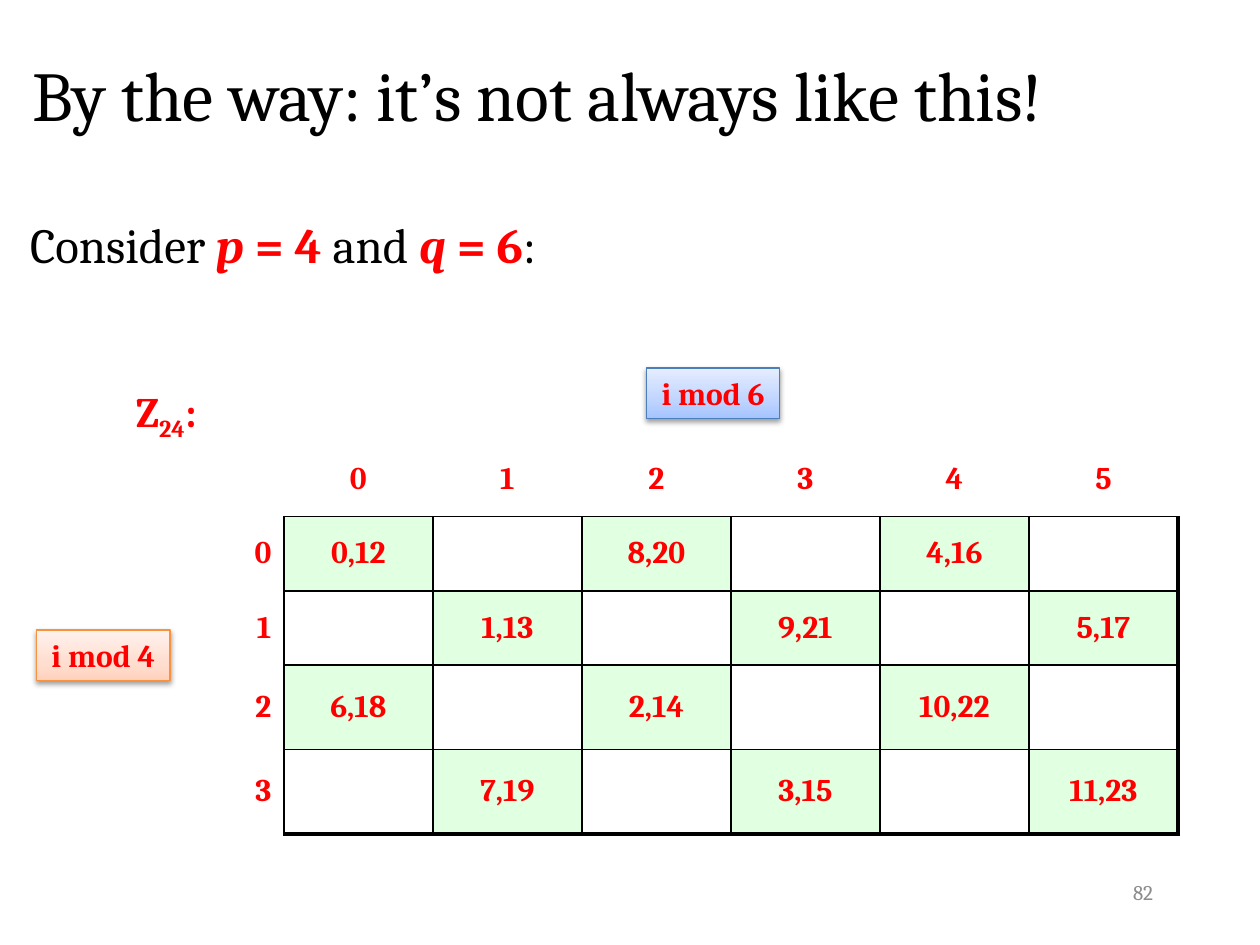
"""Build the slide on the residue table of Z24 for p = 4 and q = 6."""
import copy

import lxml.etree
import pptx
import pptx.dml.color
import pptx.enum.shapes
import pptx.enum.text
import pptx.oxml.ns
import pptx.util

COLORS = {"black": "000000", "red": "FF0000", "gray": "8C8C8C", "green": "E1FFE1"}
ALIGN = pptx.enum.text.PP_ALIGN
ANCHOR = pptx.enum.text.MSO_ANCHOR
qn = pptx.oxml.ns.qn
rgb = pptx.dml.color.RGBColor.from_string

presentation = pptx.Presentation()
presentation.slide_width = pptx.util.Inches(10)
presentation.slide_height = pptx.util.Inches(7.5)
column = presentation.slide_width / 100
row = presentation.slide_height / 75
slide = presentation.slides.add_slide(presentation.slide_layouts[6])


def span(left, top, width, height):
    return [round(n * unit) for n, unit in
            ((left, column), (top, row), (width, column), (height, row))]


def write(frame, runs, size=18, color="red", bold=False, align=ALIGN.LEFT,
          anchor=ANCHOR.TOP, wrap=True, grow=False):
    frame.word_wrap = wrap
    frame.vertical_anchor = anchor
    if grow:
        frame.auto_size = pptx.enum.text.MSO_AUTO_SIZE.SHAPE_TO_FIT_TEXT
    paragraph = frame.paragraphs[0]
    paragraph.alignment = align
    for text, changes in runs:
        run = paragraph.add_run()
        run.text = text
        run.font.name = "Cambria"
        run.font.size = pptx.util.Pt(size)
        run.font.bold = changes.get("bold", bold)
        run.font.italic = changes.get("italic", False)
        run.font.color.rgb = rgb(COLORS[changes.get("color", color)])
        if "baseline" in changes:
            run.font._element.set("baseline", str(changes["baseline"]))


strong = {"color": "red", "bold": True}
variable = {**strong, "italic": True}
premise = [("Consider ", {}), ("p ", variable), ("= 4", strong), (" and ", {}),
           ("q", variable), (" = 6", strong), (":", {})]
ring = [("Z", {}), ("24", {"baseline": -25000}), (":", {})]
passages = [
    (span(71.7, 68.3, 20.8, 5), [("82", {})],
     dict(size=12, color="gray", align=ALIGN.RIGHT, anchor=ANCHOR.MIDDLE)),
    (span(1.6, 1.2, 96.1, 12.5), [("By the way: it’s not always like this!", {})],
     dict(size=40, color="black", anchor=ANCHOR.MIDDLE)),
    (span(9.8, 30.1, 14.8, 5), ring, dict(size=24, bold=True, grow=True)),
    (span(1.4, 16.5, 44.1, 5.7), premise,
     dict(size=28, color="black", wrap=False, grow=True)),
]
for place, runs, style in passages:
    write(slide.shapes.add_textbox(*place).text_frame, runs, **style)

axis_labels = [
    ("i mod 6", 51.3, 29.2, "4B7EBC", ("A4C4FF", "BFD4FF", "E6EEFF")),
    ("i mod 4", 2.9, 50, "F69240", ("FFD2BD", "FFDED0", "FFF2ED")),
]
for text, left, top, outline, shades in axis_labels:
    label = slide.shapes.add_shape(
        pptx.enum.shapes.MSO_SHAPE.RECTANGLE, *span(left, top, 10.6, 4))
    label.fill.gradient()
    label.fill.gradient_angle = 90
    stop_list = label._element.spPr.find(qn("a:gradFill")).find(qn("a:gsLst"))
    stop_list.insert(1, copy.deepcopy(stop_list[0]))
    for stop, shade, position in zip(label.fill.gradient_stops, shades, (0, 0.35, 1)):
        stop.color.rgb = rgb(shade)
        stop.position = position
    label.line.color.rgb = rgb(outline)
    label.line.width = pptx.util.Pt(0.75)
    label.shadow.inherit = False
    effects = label._element.spPr.find(qn("a:effectLst"))
    shadow = lxml.etree.SubElement(
        effects, qn("a:outerShdw"), blurRad=str(pptx.util.Pt(3.1)),
        dist=str(pptx.util.Pt(1.6)), dir="5400000", rotWithShape="0")
    shadow_color = lxml.etree.SubElement(shadow, qn("a:srgbClr"), val=COLORS["black"])
    lxml.etree.SubElement(shadow_color, qn("a:alpha"), val="38000")
    write(label.text_frame, [(text, {})], bold=True, align=ALIGN.CENTER,
          wrap=False, grow=True)

p, q = 4, 6
residues = slide.shapes.add_table(p + 1, q + 1, *span(10.7, 35.1, 82.8, 31)).table
residues.first_row = residues.horz_banding = False
for table_column in residues.columns:
    table_column.width = round(82.8 * column / (q + 1))
for table_row, height in zip(residues.rows, (5.9, 5.9, 5.9, 6.7, 6.7)):
    table_row.height = round(height * row)

for i in range(p + 1):
    for j in range(q + 1):
        cell = residues.cell(i, j)
        inside = i > 0 and j > 0
        borders = {
            "L": 1 if inside else 0,
            "R": (2.25 if j == q else 1) if i > 0 else 0,
            "T": 1 if inside else 0,
            "B": (2.25 if i == p else 1) if j > 0 else 0,
        }
        properties = cell._tc.get_or_add_tcPr()
        for side, weight in borders.items():
            edge = lxml.etree.SubElement(
                properties, qn(f"a:ln{side}"), w=str(pptx.util.Pt(weight)))
            if weight:
                ink = lxml.etree.SubElement(edge, qn("a:solidFill"))
                lxml.etree.SubElement(ink, qn("a:srgbClr"), val=COLORS["black"])
            else:
                lxml.etree.SubElement(edge, qn("a:noFill"))

        if inside:
            members = [n for n in range(p * q) if (n % p, n % q) == (i - 1, j - 1)]
            text = ",".join(map(str, members))
        else:
            text = str(i + j - 1) if i + j else ""
        if inside and text:
            cell.fill.solid()
            cell.fill.fore_color.rgb = rgb(COLORS["green"])
        else:
            cell.fill.background()
        cell.vertical_anchor = ANCHOR.MIDDLE
        if text:
            write(cell.text_frame, [(text, {})], bold=True, anchor=None, wrap=None,
                  align=ALIGN.CENTER if j else ALIGN.RIGHT)

presentation.save("out.pptx")
